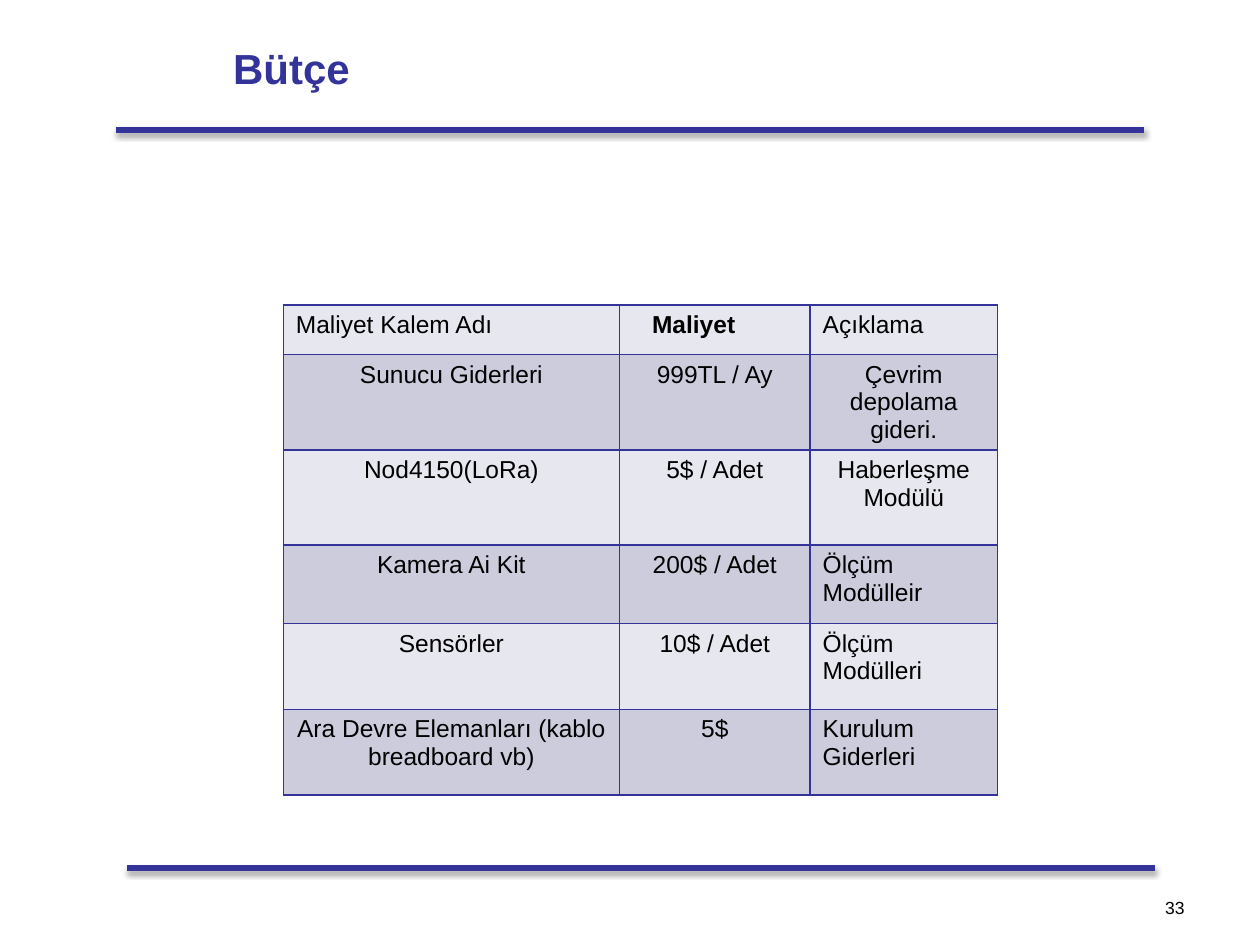
from lxml import etree
from pptx import Presentation
from pptx import util as u
from pptx.dml.color import RGBColor
from pptx.enum import shapes, text
from pptx.oxml import parse_xml
from pptx.oxml.ns import nsdecls, qn

NAVY, BLACK = "333399", "000000"
BANDS = ("E7E7EF", "CCCCDD")
LEFT, CENTER, RIGHT = text.PP_ALIGN.LEFT, text.PP_ALIGN.CENTER, text.PP_ALIGN.RIGHT
COLUMN_WIDTHS = (6.78, 3.84, 3.78)
ROW_HEIGHTS = (1, 1.92, 1.92, 1.58, 1.73, 1.73)
BUDGET = (
    ("Maliyet Kalem Adı", "Maliyet", "Açıklama"),
    ("Sunucu Giderleri", "999TL / Ay", "Çevrim depolama gideri."),
    ("Nod4150(LoRa)", "5$ / Adet", "Haberleşme Modülü"),
    ("Kamera Ai Kit", "200$ / Adet", "Ölçüm Modülleir"),
    ("Sensörler", "10$ / Adet", "Ölçüm Modülleri"),
    ("Ara Devre Elemanları (kablo breadboard vb)", "5$", "Kurulum Giderleri"),
)


def color(value):
    """Turn a hex string into a colour."""
    return RGBColor.from_string(value)


def write(frame, content, size, fill, alignment=LEFT, bold=False):
    """Put one formatted paragraph into a text frame."""
    frame.text = content
    paragraph = frame.paragraphs[0]
    paragraph.alignment = alignment
    font = paragraph.font
    font.name, font.size, font.bold = "Arial", u.Pt(size), bold
    font.color.rgb = color(fill)
    return paragraph


def set_title(slide, content):
    """Place and format the title placeholder."""
    title = slide.shapes.title
    title.left, title.top = u.Cm(4.45), u.Cm(0.2)
    title.width, title.height = u.Cm(15.04), u.Cm(2.34)
    frame = title.text_frame
    frame.margin_left = frame.margin_right = u.Cm(0.25)
    frame.vertical_anchor = text.MSO_ANCHOR.MIDDLE
    write(frame, content, 24, NAVY, bold=True)


def add_rule(slide, left, top):
    """Draw a horizontal rule with a soft shadow below it."""
    rule = slide.shapes.add_connector(
        shapes.MSO_CONNECTOR.STRAIGHT, u.Cm(left), u.Cm(top), u.Cm(left + 20.72), u.Cm(top))
    rule.line.color.rgb = color(NAVY)
    rule.line.width = u.Pt(3)
    rule._element.spPr.append(parse_xml(
        f'<a:effectLst {nsdecls("a")}><a:outerShdw blurRad="40000" dist="23000" '
        f'dir="5400000" rotWithShape="0"><a:srgbClr val="{BLACK}">'
        '<a:alpha val="35000"/></a:srgbClr></a:outerShdw></a:effectLst>'))


def add_page_number(slide, number):
    """Write the page number at the lower right."""
    box = slide.shapes.add_textbox(u.Cm(22.23), u.Cm(17.96), u.Cm(1.9), u.Cm(0.69))
    box.text_frame.word_wrap = True
    write(box.text_frame, number, 10, BLACK, RIGHT)


def set_borders(cell):
    """Give a cell thin borders on all four sides."""
    properties = cell._tc.get_or_add_tcPr()
    for position, side in enumerate(("lnL", "lnR", "lnT", "lnB")):
        line = etree.Element(qn(f"a:{side}"), w=str(u.Pt(1)))
        fill = etree.SubElement(line, qn("a:solidFill"))
        etree.SubElement(fill, qn("a:srgbClr"), val=NAVY)
        properties.insert(position, line)


def cell_alignment(row, column):
    """Centre the body, except for the last column's lower rows."""
    return LEFT if row == 0 or (column == 2 and row > 2) else CENTER


def add_budget_table(slide):
    """Build the banded budget table."""
    table = slide.shapes.add_table(
        len(BUDGET), len(COLUMN_WIDTHS), u.Cm(5.71), u.Cm(6.15),
        u.Cm(sum(COLUMN_WIDTHS)), u.Cm(sum(ROW_HEIGHTS))).table
    table.first_row = table.horz_banding = False
    for column, width in zip(table.columns, COLUMN_WIDTHS):
        column.width = u.Cm(width)
    for row, height in zip(table.rows, ROW_HEIGHTS):
        row.height = u.Cm(height)
    for row, entries in enumerate(BUDGET):
        for column, entry in enumerate(entries):
            cell = table.cell(row, column)
            cell.margin_bottom = 0
            cell.fill.solid()
            cell.fill.fore_color.rgb = color(BANDS[row % 2])
            set_borders(cell)
            cost_header = (row, column) == (0, 1)
            paragraph = write(cell.text_frame, entry, 14, BLACK,
                              cell_alignment(row, column), cost_header)
            if cost_header:
                paragraph._p.get_or_add_pPr().set("marL", str(u.Cm(0.4)))


def main():
    """Create the budget slide."""
    presentation = Presentation()
    presentation.slide_width, presentation.slide_height = u.Cm(25.4), u.Cm(19.05)
    slide = presentation.slides.add_slide(presentation.slide_layouts[5])
    set_title(slide, "Bütçe")
    add_page_number(slide, "33")
    add_rule(slide, 2.34, 2.62)
    add_rule(slide, 2.56, 17.5)
    add_budget_table(slide)
    presentation.save("out.pptx")


if __name__ == "__main__":
    main()
